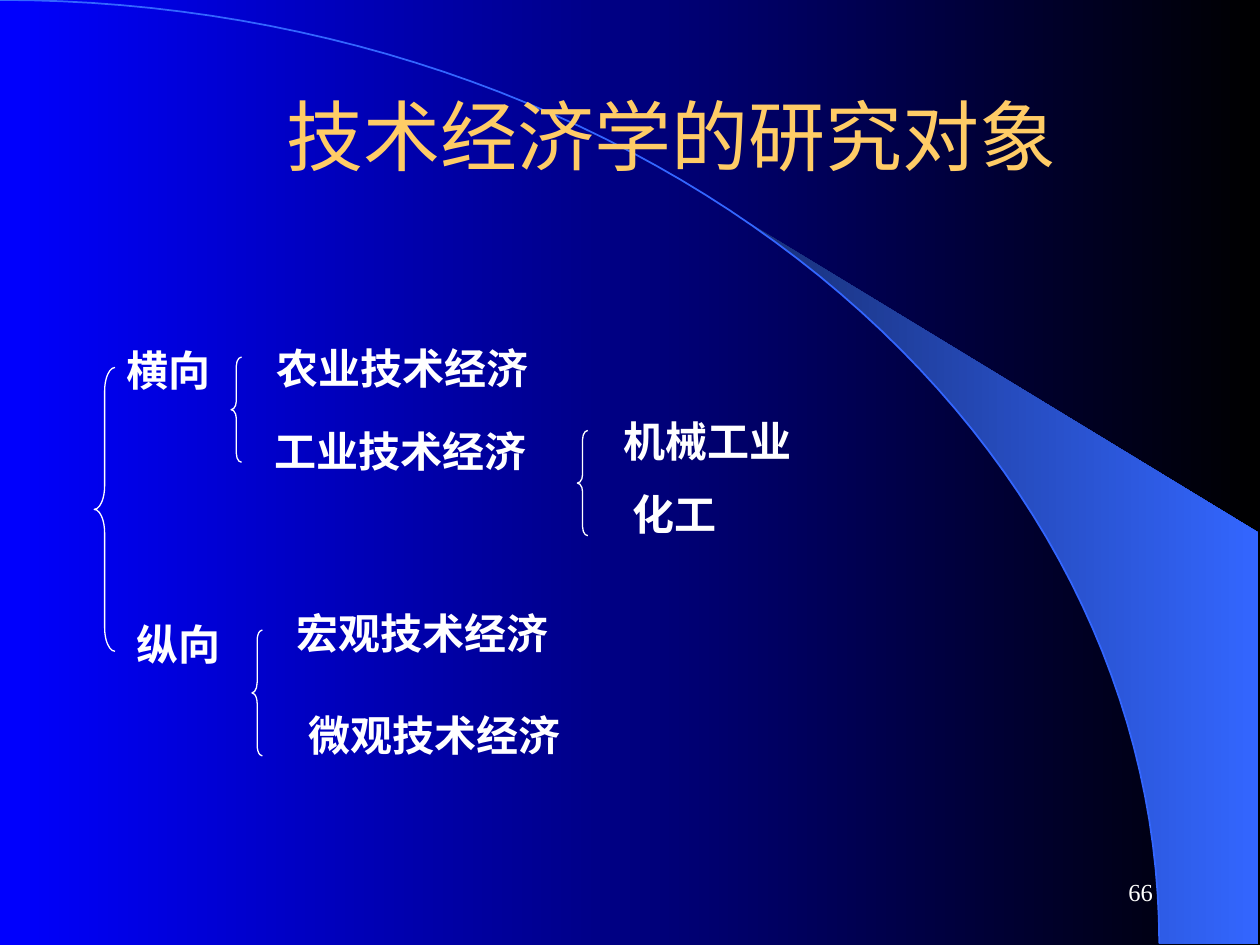
from dataclasses import dataclass
from math import cos, radians, sin

from pptx import Presentation
from pptx.dml.color import RGBColor
from pptx.enum.shapes import MSO_SHAPE
from pptx.enum.text import MSO_ANCHOR, PP_ALIGN
from pptx.util import Cm, Pt


@dataclass(frozen=True)
class Theme:
    blue: str = "0000FF"
    black: str = "000000"
    navy: str = "182F76"
    azure: str = "3366FF"
    gold: str = "FFCC66"
    white: str = "FFFFFF"
    head: int = 44
    label: int = 24
    number: int = 14
    sans: str = "Noto Sans CJK SC"
    serif: str = "Times New Roman"


class Deck:
    def __init__(self, theme):
        self.theme = theme
        self.file = Presentation()
        self.file.slide_width, self.file.slide_height = Cm(25.4), Cm(19.05)
        self.slide = self.file.slides.add_slide(self.file.slide_layouts[5])
        self.shapes = self.slide.shapes

    def blend(self, fill, *colors):
        """Fill with a gradient from left to right."""
        fill.gradient()
        fill.gradient_angle = 0
        for stop, color in zip(fill.gradient_stops, colors):
            stop.color.rgb = RGBColor.from_string(color)

    def stroke(self, shape, color, width):
        shape.line.color.rgb = RGBColor.from_string(color)
        shape.line.width = Pt(width)

    def outline(self, points, closed):
        (x, y), *rest = [(Cm(x), Cm(y)) for x, y in points]
        pen = self.shapes.build_freeform(x, y)
        pen.add_line_segments(rest, close=closed)
        shape = pen.convert_to_shape()
        shape.shadow.inherit = False
        return shape

    def flare(self, points):
        shape = self.outline(points, True)
        self.blend(shape.fill, self.theme.navy, self.theme.azure)
        shape.line.fill.background()

    def curve(self, points):
        shape = self.outline(points, False)
        shape.fill.background()
        self.stroke(shape, self.theme.azure, 1)

    def set_text(self, frame, text, size, face, color, align, bold=False):
        frame.text = text
        para = frame.paragraphs[0]
        para.alignment = align
        font = para.font
        font.size, font.name, font.bold = Pt(size), face, bold
        font.color.rgb = RGBColor.from_string(color)

    def title(self, text, x, y, w, h):
        box = self.shapes.title
        box.left, box.top, box.width, box.height = map(Cm, (x, y, w, h))
        box.text_frame.vertical_anchor = MSO_ANCHOR.MIDDLE
        t = self.theme
        self.set_text(box.text_frame, text, t.head, t.sans, t.gold, PP_ALIGN.CENTER)
        self.shapes.element.append(box.element)  # bring in front of the curve

    def label(self, text, x, y):
        t = self.theme
        width = Pt(t.label * len(text)) + Cm(0.51)
        frame = self.shapes.add_textbox(Cm(x), Cm(y), width, Cm(1.27)).text_frame
        frame.word_wrap = False
        self.set_text(frame, text, t.label, t.serif, t.white, PP_ALIGN.LEFT, True)

    def brace(self, x, y, w, h):
        shape = self.shapes.add_shape(MSO_SHAPE.LEFT_BRACE, *map(Cm, (x, y, w, h)))
        shape.adjustments[0] = h / 12 / w
        shape.fill.background()
        shape.shadow.inherit = False
        self.stroke(shape, self.theme.white, 0.75)

    def number(self, text, x, y, w, h):
        t = self.theme
        frame = self.shapes.add_textbox(*map(Cm, (x, y, w, h))).text_frame
        frame.word_wrap = True
        frame.vertical_anchor = MSO_ANCHOR.MIDDLE
        self.set_text(frame, text, t.number, t.serif, t.white, PP_ALIGN.RIGHT)


def arc(start, steps=60):
    """Points on the ellipse about the lower left corner, from start degrees to 0."""
    wide, high = 23.37, 19.02
    turns = [radians(start * (1 - i / steps)) for i in range(steps + 1)]
    return [(wide * cos(a), high * (1 - sin(a))) for a in turns]


LABELS = [
    ("横向", 2.31, 6.83),
    ("农业技术经济", 5.33, 6.78),
    ("工业技术经济", 5.28, 8.46),
    ("机械工业", 12.32, 8.26),
    ("化工", 12.5, 9.73),
    ("纵向", 2.51, 12.34),
    ("宏观技术经济", 5.72, 12.12),
    ("微观技术经济", 5.97, 14.17),
]
BRACES = [
    (1.9, 7.41, 0.42, 5.72),
    (4.66, 7.2, 0.21, 2.12),
    (11.64, 8.68, 0.21, 2.12),
    (5.08, 12.7, 0.21, 2.54),
]


def main():
    deck = Deck(Theme())
    deck.blend(deck.slide.background.fill, deck.theme.blue, deck.theme.black)
    deck.flare(arc(50.2) + [(25.37, 19.02), (25.37, 10.74)])
    deck.curve(arc(90))
    deck.number("66", 18.21, 17.35, 5.28, 1.27)
    deck.title("技术经济学的研究对象", 1.7, 1.12, 23.7, 3.18)
    for item in LABELS:
        deck.label(*item)
    for item in BRACES:
        deck.brace(*item)
    deck.file.save("out.pptx")


if __name__ == "__main__":
    main()
